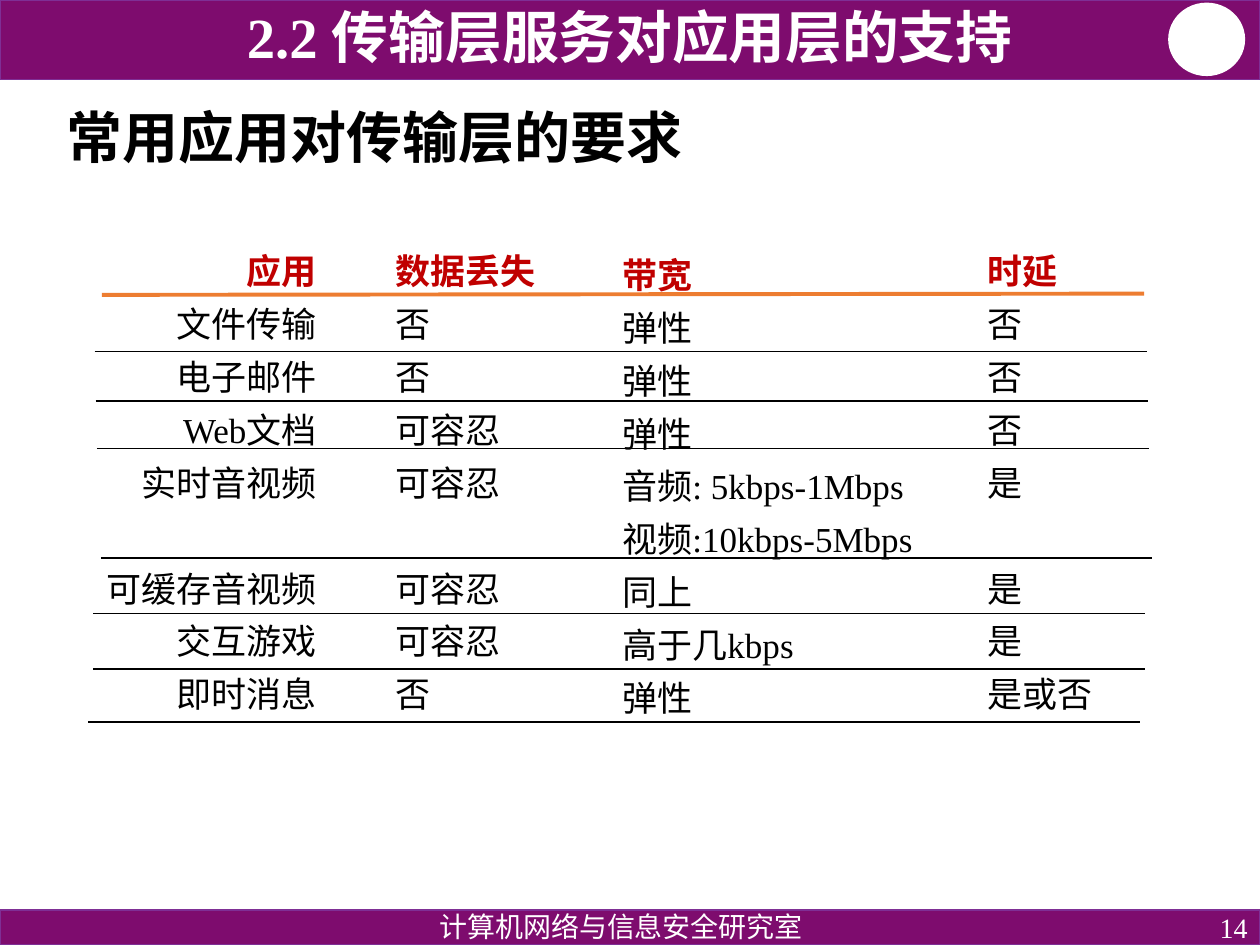
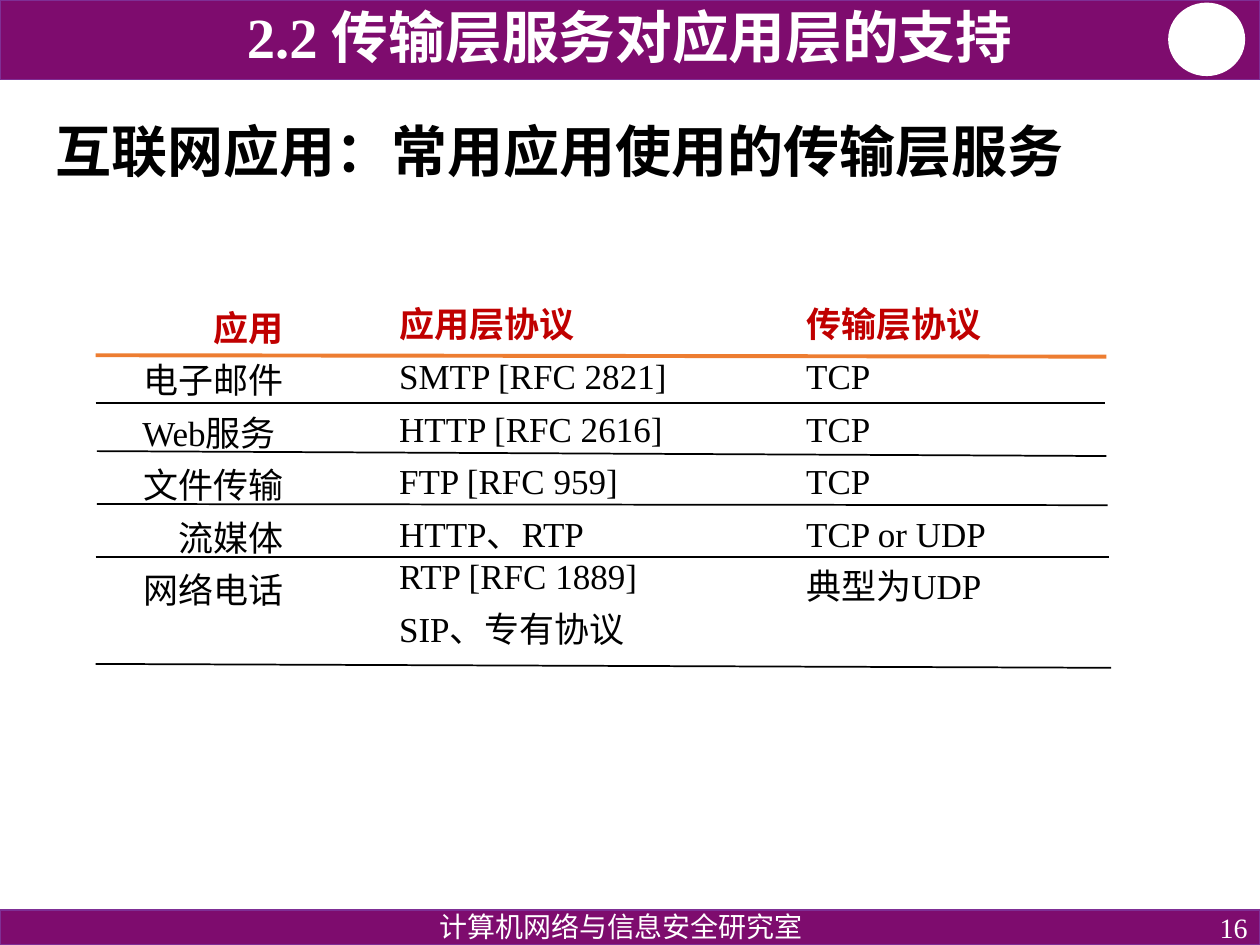
from dataclasses import dataclass

from lxml import etree
from pptx import Presentation
from pptx.dml.color import RGBColor
from pptx.enum.shapes import MSO_CONNECTOR, MSO_SHAPE
from pptx.enum.text import MSO_ANCHOR, PP_ALIGN
from pptx.oxml.ns import qn
from pptx.util import Pt

LEFT, CENTER, RIGHT = PP_ALIGN.LEFT, PP_ALIGN.CENTER, PP_ALIGN.RIGHT
TOP, MIDDLE, BOTTOM = MSO_ANCHOR.TOP, MSO_ANCHOR.MIDDLE, MSO_ANCHOR.BOTTOM
RECTANGLE, OVAL = MSO_SHAPE.RECTANGLE, MSO_SHAPE.OVAL
STRAIGHT = MSO_CONNECTOR.STRAIGHT


@dataclass(frozen=True)
class Theme:
    band: RGBColor = RGBColor(0x7E, 0x0C, 0x6E)
    band_edge: RGBColor = RGBColor(0x7F, 0x2F, 0x95)
    white: RGBColor = RGBColor(0xFF, 0xFF, 0xFF)
    black: RGBColor = RGBColor(0, 0, 0)
    header: RGBColor = RGBColor(0xC0, 0, 0)
    header_rule: RGBColor = RGBColor(0xED, 0x7D, 0x31)
    serif: str = "Times New Roman"
    sans: str = "Arial"
    chinese: str = "Noto Sans CJK SC"
    section_size: float = 32.4
    title_size: float = 32
    table_size: float = 20
    footer_size: float = 16
    row_gap: float = 6


THEME = Theme()


@dataclass(frozen=True)
class Box:
    left: float
    top: float
    width: float
    height: float

    def lengths(self) -> tuple:
        return Pt(self.left), Pt(self.top), Pt(self.width), Pt(self.height)


@dataclass(frozen=True)
class Style:
    size: float
    color: RGBColor
    font: str = THEME.serif
    bold: bool = False
    align: PP_ALIGN = LEFT
    spacing: object = 1.0


@dataclass(frozen=True)
class Column:
    box: Box
    cells: tuple
    font: str = THEME.serif
    align: PP_ALIGN = LEFT
    wrap: bool = True


@dataclass(frozen=True)
class Rule:
    left: float
    start: float
    right: float
    end: float


@dataclass(frozen=True)
class TableSlide:
    number: str
    title: str
    title_box: Box
    line_height: float
    columns: tuple
    rules: tuple


SECTION = "2.2 传输层服务对应用层的支持"
FOOTER = "计算机网络与信息安全研究室"
SECTION_STYLE = Style(THEME.section_size, THEME.white, bold=True, align=CENTER, spacing=0.8)
TITLE_STYLE = Style(THEME.title_size, THEME.black, THEME.chinese, bold=True, spacing=0.9)
FOOTER_STYLE = Style(THEME.footer_size, THEME.white, align=CENTER, spacing=0.9)
NUMBER_STYLE = Style(THEME.footer_size, THEME.white, align=RIGHT)

SLIDES = (
    TableSlide(
        "14", "常用应用对传输层的要求", Box(31, 54.7, 643.7, 51), 24.2,
        (
            Column(Box(52.6, 139, 135.4, 273.6),
                   ("应用", "文件传输", "电子邮件", "Web文档", "实时音视频", None,
                    "可缓存音视频", "交互游戏", "即时消息"), align=RIGHT, wrap=False),
            Column(Box(218.9, 139, 95.8, 283.7),
                   ("数据丢失", "否", "否", "可容忍", "可容忍", None, "可容忍", "可容忍", "否"),
                   THEME.sans, wrap=False),
            Column(Box(348.5, 141.1, 203, 283),
                   ("带宽", "弹性", "弹性", "弹性", "音频: 5kbps-1Mbps", "视频:10kbps-5Mbps",
                    "同上", "高于几kbps", "弹性")),
            Column(Box(557.3, 139, 96.5, 274.3),
                   ("时延", "否", "否", "否", "是", None, "是", "是", "是或否"), THEME.sans),
        ),
        (
            Rule(58.3, 168.5, 653.8, 167.8),
            Rule(54, 200.9, 655.2, 200.9),
            Rule(54.7, 229, 655.9, 229),
            Rule(55.4, 256.3, 656.6, 256.3),
            Rule(57.6, 319, 658.1, 319),
            Rule(53.3, 350.6, 654.5, 350.6),
            Rule(53.3, 382.3, 654.5, 382.3),
            Rule(50.4, 412.6, 651.6, 412.6),
        ),
    ),
    TableSlide(
        "16", "互联网应用：常用应用使用的传输层服务", Box(24.5, 65.5, 678.2, 45.4), 24,
        (
            Column(Box(55.4, 171.4, 113.8, 211),
                   ("应用", "电子邮件", "Web服务 ", "文件传输", "流媒体", "网络电话"), align=RIGHT),
            Column(Box(221, 169.2, 168.5, 207.4),
                   ("应用层协议", "SMTP [RFC 2821]", "HTTP [RFC 2616]", "FTP [RFC 959]",
                    "HTTP、RTP\nRTP [RFC 1889]", "SIP、专有协议"), wrap=False),
            Column(Box(453.6, 169.2, 206.6, 182.9),
                   ("传输层协议", "TCP", "TCP", "TCP", "TCP or UDP", "典型为UDP")),
        ),
        (
            Rule(54.7, 203, 632.2, 203.8),
            Rule(54.7, 230.4, 631.4, 230.4),
            Rule(55.4, 257.8, 632.2, 260.6),
            Rule(55.4, 288, 632.9, 288.7),
            Rule(54.7, 318.2, 633.6, 318.2),
            Rule(54.7, 379.4, 635, 381.6),
        ),
    ),
)


def style_paragraph(paragraph, style: Style) -> None:
    paragraph.alignment = style.align
    paragraph.line_spacing = style.spacing
    font = paragraph.font
    font.size = Pt(style.size)
    font.bold = style.bold
    font.name = style.font
    font.color.rgb = style.color
    properties = paragraph._p.find(f"{qn('a:pPr')}/{qn('a:defRPr')}")
    etree.SubElement(properties, qn("a:ea")).set("typeface", THEME.chinese)


def add_frame(slide, box: Box, anchor: MSO_ANCHOR = TOP, wrap: bool = True):
    frame = slide.shapes.add_textbox(*box.lengths()).text_frame
    frame.word_wrap = wrap
    frame.vertical_anchor = anchor
    return frame


def add_label(slide, box: Box, text: str, style: Style, anchor: MSO_ANCHOR = TOP) -> None:
    paragraph = add_frame(slide, box, anchor).paragraphs[0]
    paragraph.text = text
    style_paragraph(paragraph, style)


def add_panel(slide, kind: MSO_SHAPE, box: Box, fill: RGBColor, edge: RGBColor) -> None:
    shape = slide.shapes.add_shape(kind, *box.lengths())
    shape.shadow.inherit = False
    shape.fill.solid()
    shape.fill.fore_color.rgb = fill
    shape.line.color.rgb = edge
    shape.line.width = Pt(1)


def add_column(slide, column: Column, line_height: float) -> None:
    frame = add_frame(slide, column.box, wrap=column.wrap)
    header = Style(THEME.table_size, THEME.header, THEME.chinese, True,
                   column.align, Pt(line_height))
    body = Style(THEME.table_size, THEME.black, column.font, False,
                 column.align, Pt(line_height))
    gap = THEME.row_gap
    for index, cell in enumerate(column.cells):
        if cell is None:
            gap += line_height + THEME.row_gap
            continue
        paragraph = frame.add_paragraph() if index else frame.paragraphs[0]
        paragraph.text = cell
        style_paragraph(paragraph, body if index else header)
        paragraph.space_before = Pt(gap)
        gap = THEME.row_gap


def add_rule(slide, rule: Rule, color: RGBColor, width: float) -> None:
    connector = slide.shapes.add_connector(
        STRAIGHT, Pt(rule.left), Pt(rule.start), Pt(rule.right), Pt(rule.end))
    connector.line.color.rgb = color
    connector.line.width = Pt(width)
    etree.SubElement(connector._element.spPr, qn("a:effectLst"))


def add_furniture(slide, number: str) -> None:
    add_panel(slide, RECTANGLE, Box(0, 0, 720, 45.4), THEME.band, THEME.band_edge)
    add_panel(slide, OVAL, Box(668, 2, 43, 41), THEME.white, THEME.white)
    add_panel(slide, RECTANGLE, Box(0, 520, 720, 20), THEME.band, THEME.band_edge)
    add_label(slide, Box(558, 520, 162, 20), number, NUMBER_STYLE, MIDDLE)
    add_label(slide, Box(193.7, 518.4, 322.6, 20), FOOTER, FOOTER_STYLE)
    add_label(slide, Box(52, 3, 615.6, 40), SECTION, SECTION_STYLE, BOTTOM)


def build_slide(presentation, content: TableSlide) -> None:
    slide = presentation.slides.add_slide(presentation.slide_layouts[6])
    add_furniture(slide, content.number)
    add_label(slide, content.title_box, content.title, TITLE_STYLE, MIDDLE)
    for column in content.columns:
        add_column(slide, column, content.line_height)
    header_rule, *row_rules = content.rules
    add_rule(slide, header_rule, THEME.header_rule, 2.25)
    for rule in row_rules:
        add_rule(slide, rule, THEME.black, 1)


def main() -> None:
    presentation = Presentation()
    presentation.slide_width, presentation.slide_height = Pt(720), Pt(540)
    for content in SLIDES:
        build_slide(presentation, content)
    presentation.save("out.pptx")


if __name__ == "__main__":
    main()
